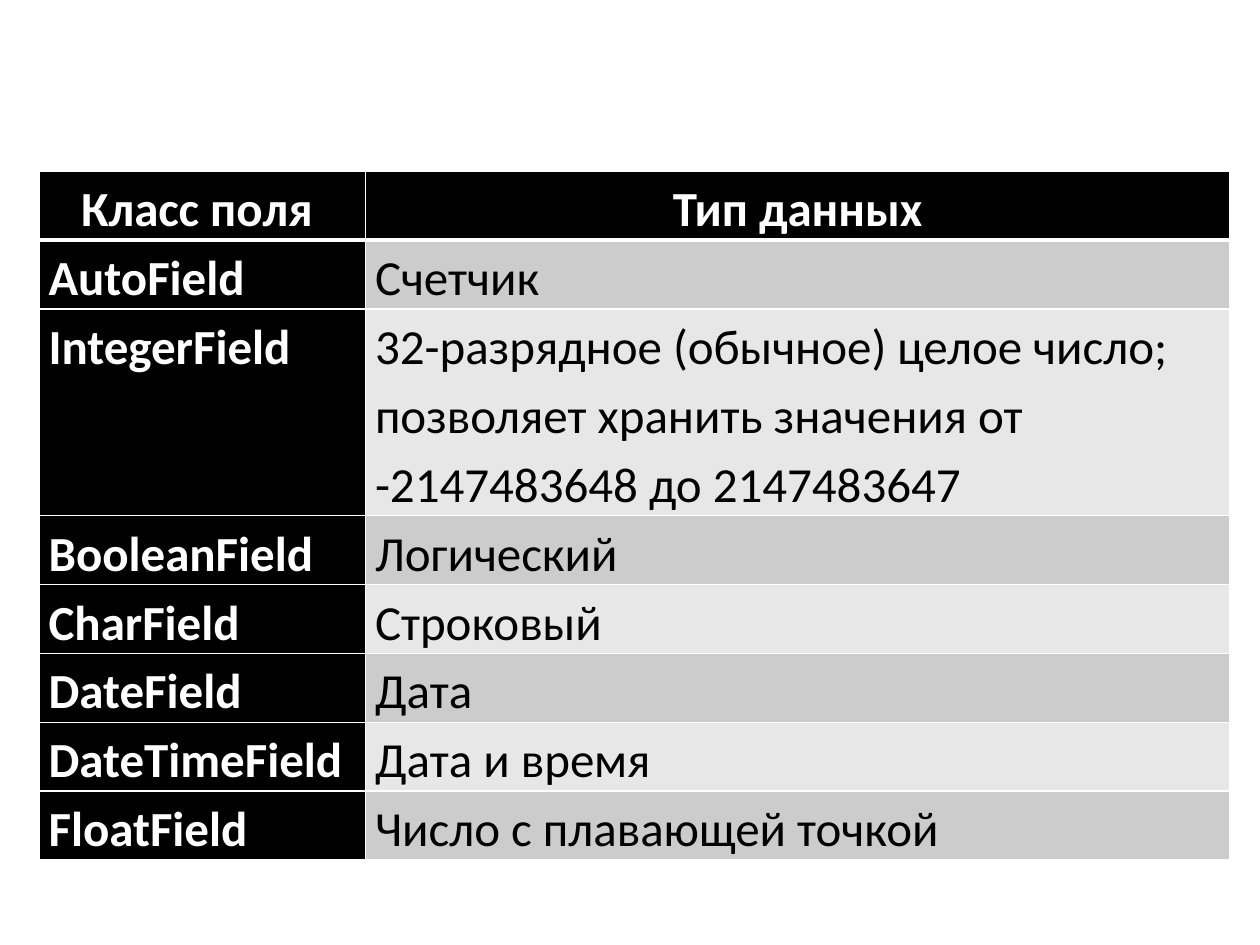
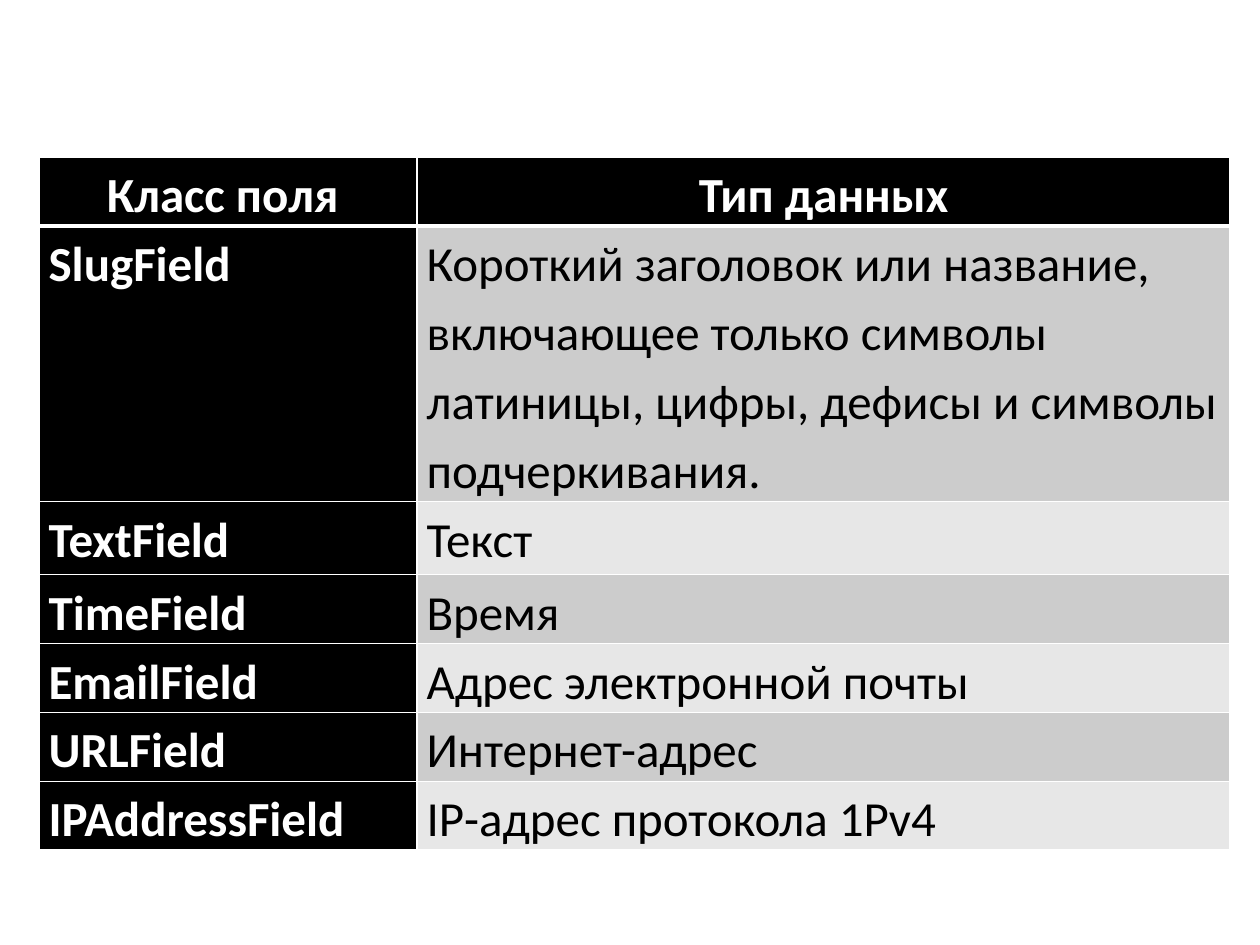
from pptx import Presentation
from pptx.dml.color import RGBColor
from pptx.enum.text import PP_ALIGN
from pptx.oxml import parse_xml
from pptx.oxml.ns import nsdecls
from pptx.util import Cm, Pt

CENTER, LEFT = PP_ALIGN.CENTER, PP_ALIGN.LEFT
BLACK, WHITE = "000000", "FFFFFF"
BANDS = ["CCCCCC", "E7E7E7"]
BLANK_LAYOUT = 6
TABLE_LEFT, TABLE_WIDTH = 0.79, 24
LINE_HEIGHT = 1.36
HEADER = ("Класс поля ", "Тип данных", LINE_HEIGHT)


def color(hex_string):
    return RGBColor.from_string(hex_string)


def add_border(cell, side, points):
    cell._tc.get_or_add_tcPr().append(parse_xml(
        f'<a:ln{side} {nsdecls("a")} w="{Pt(points)}"><a:solidFill>'
        f'<a:srgbClr val="{WHITE}"/></a:solidFill></a:ln{side}>'))


# Each table: top, width of the first column, rows of (field, type, height)
tables = [
    (3.45, 6.58, [
        ("AutoField", "Счетчик", LINE_HEIGHT),
        ("IntegerField", "32-разрядное (обычное) целое число; позволяет хранить "
                         "значения от -2147483648 до 2147483647", 4.1),
        ("BooleanField", "Логический", LINE_HEIGHT),
        ("CharField", "Строковый", LINE_HEIGHT),
        ("DateField", "Дата", LINE_HEIGHT),
        ("DateTimeField", "Дата и время", LINE_HEIGHT),
        ("FloatField", "Число с плавающей точкой", LINE_HEIGHT),
    ]),
    (3.17, 7.62, [
        ("SlugField", "Короткий заголовок или название, включающее только символы "
                      "латиницы, цифры, дефисы и символы подчеркивания.", 5.46),
        ("TextField", "Текст", 1.47),
        ("TimeField", "Время", LINE_HEIGHT),
        ("EmailField", "Адрес электронной почты", LINE_HEIGHT),
        ("URLField", "Интернет-адрес", LINE_HEIGHT),
        ("IPAddressField", "IР-адрес протокола 1Pv4", LINE_HEIGHT),
    ]),
]

deck = Presentation()
deck.slide_width, deck.slide_height = Cm(25.4), Cm(19.05)

for top, first_width, fields in tables:
    page = deck.slides.add_slide(deck.slide_layouts[BLANK_LAYOUT])
    rows = [HEADER] + fields
    height = sum(row[2] for row in rows)
    table = page.shapes.add_table(len(rows), 2, Cm(TABLE_LEFT), Cm(top),
                                  Cm(TABLE_WIDTH), Cm(height)).table
    table.columns[0].width = Cm(first_width)
    table.columns[1].width = Cm(TABLE_WIDTH - first_width)

    for row_index, (field, data_type, row_height) in enumerate(rows):
        table.rows[row_index].height = Cm(row_height)
        is_header = row_index == 0
        for column_index, text in enumerate((field, data_type)):
            is_dark = is_header or column_index == 0
            cell = table.cell(row_index, column_index)
            cell.margin_left = cell.margin_right = Cm(0.19)
            cell.margin_top = cell.margin_bottom = 0

            # Borders come before the fill; the header has a thick lower edge
            for side in "LRTB":
                thick = (side == "B" and is_header) or (side == "T" and row_index == 1)
                add_border(cell, side, 3 if thick else 1)
            cell.fill.solid()
            cell.fill.fore_color.rgb = color(
                BLACK if is_dark else BANDS[(row_index - 1) % 2])

            # Text
            cell.text = text
            para = cell.text_frame.paragraphs[0]
            para.alignment = CENTER if is_header else LEFT
            para.line_spacing = 1.15
            para.font.name = "Calibri"
            para.font.size = Pt(28)
            para.font.bold = is_dark
            para.font.color.rgb = color(WHITE if is_dark else BLACK)

deck.save("out.pptx")
